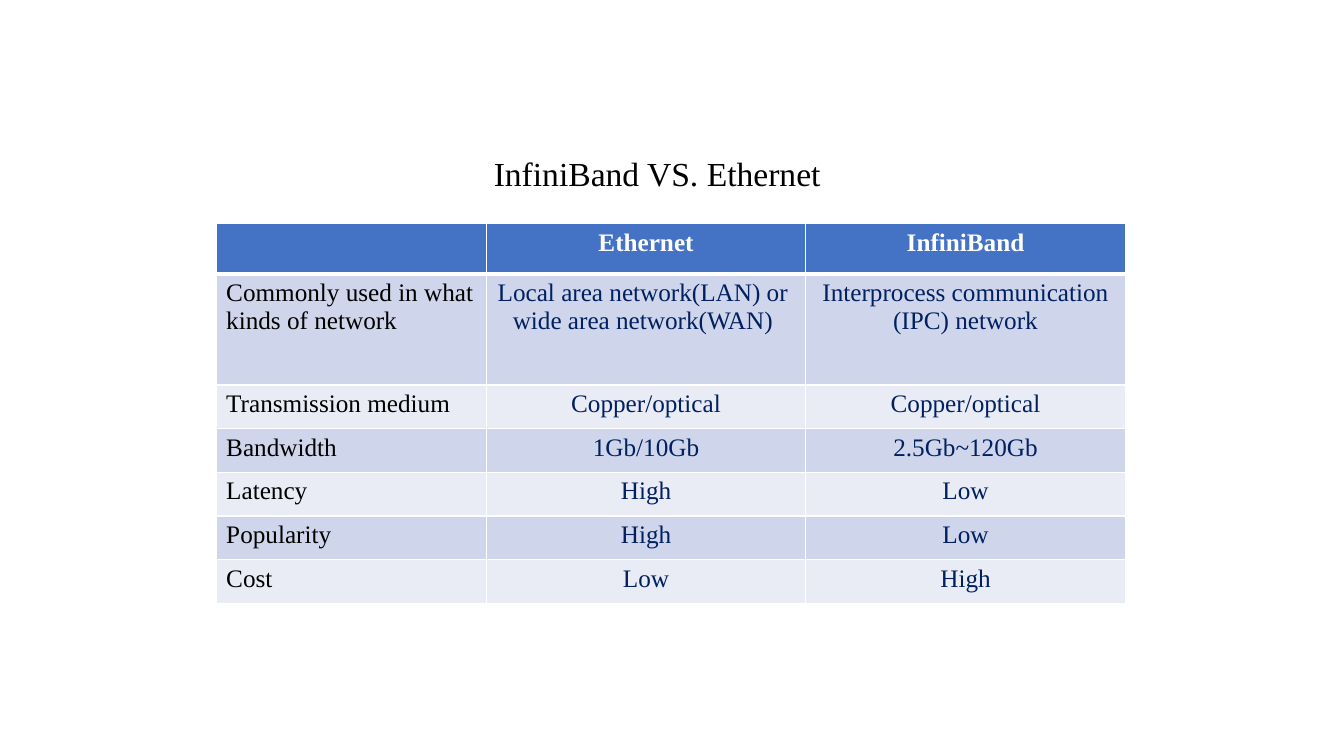
from dataclasses import dataclass

from lxml import etree
from pptx import Presentation
from pptx.dml.color import RGBColor
from pptx.enum.text import MSO_ANCHOR, PP_ALIGN
from pptx.oxml.ns import qn
from pptx.util import Pt

LEFT, CENTER, JUSTIFY = PP_ALIGN.LEFT, PP_ALIGN.CENTER, PP_ALIGN.JUSTIFY
MIDDLE = MSO_ANCHOR.MIDDLE

WHITE = RGBColor(0xFF, 0xFF, 0xFF)
BLACK = RGBColor(0, 0, 0)
NAVY = RGBColor(0x00, 0x20, 0x60)
HEADER_BLUE = RGBColor(0x44, 0x72, 0xC4)
BANDS = (RGBColor(0xCF, 0xD5, 0xEA), RGBColor(0xE9, 0xEB, 0xF5))

FONT = "Times New Roman"
COLUMN_WIDTHS = (192.96, 228.24, 228.24)
HEADER_HEIGHT = 36
THIN, THICK = Pt(1), Pt(3)


@dataclass(frozen=True)
class Criterion:
    label: str
    ethernet: str
    infiniband: str
    height: float = 31.2
    label_align: PP_ALIGN = JUSTIFY


HEADINGS = ("", "Ethernet", "InfiniBand")
CRITERIA = (
    Criterion("Commonly used in what kinds of network",
              "Local area network(LAN) or \nwide area network(WAN) ",
              "Interprocess communication (IPC) network", 79.2, LEFT),
    Criterion("Transmission medium", "Copper/optical", "Copper/optical"),
    Criterion("Bandwidth", "1Gb/10Gb", "2.5Gb~120Gb"),
    Criterion("Latency", "High", "Low"),
    Criterion("Popularity", "High", "Low"),
    Criterion("Cost", "Low", "High"),
)


def write(frame, text: str, align: PP_ALIGN, color: RGBColor,
          size: float = 18, bold: bool = False) -> None:
    """Fill a text frame, one paragraph per line of text."""
    frame.text = text
    font_format = {"name": FONT, "size": Pt(size), "bold": bold}
    for paragraph in frame.paragraphs:
        paragraph.alignment = align
        # An empty cell keeps its size through the paragraph font
        for font in [run.font for run in paragraph.runs] or [paragraph.font]:
            for attribute, value in font_format.items():
                setattr(font, attribute, value)
            font.color.rgb = color


def add_borders(cell, top: int, bottom: int) -> None:
    """Draw white cell borders; they must come before the cell's fill."""
    properties = cell._tc.get_or_add_tcPr()
    edges = {"a:lnL": THIN, "a:lnR": THIN, "a:lnT": top, "a:lnB": bottom}
    for tag, width in edges.items():
        edge = etree.SubElement(properties, qn(tag), w=str(int(width)))
        fill = etree.SubElement(edge, qn("a:solidFill"))
        etree.SubElement(fill, qn("a:srgbClr"), val=str(WHITE))


def style_cell(cell, row: int) -> None:
    """Give a cell its borders and its header or band fill."""
    add_borders(cell, THICK if row == 1 else THIN, THICK if row == 0 else THIN)
    cell.fill.solid()
    cell.fill.fore_color.rgb = BANDS[(row - 1) % 2] if row else HEADER_BLUE


def add_title(slide) -> None:
    title = slide.shapes.add_textbox(Pt(345.6), Pt(109.44), Pt(267.84), Pt(32.4))
    frame = title.text_frame
    frame.word_wrap = True
    frame.vertical_anchor = MIDDLE
    write(frame, "InfiniBand VS. Ethernet", LEFT, BLACK, size=24)
    frame.paragraphs[0].line_spacing = 0.9


def add_comparison(slide) -> None:
    heights = [HEADER_HEIGHT] + [criterion.height for criterion in CRITERIA]
    comparison = slide.shapes.add_table(
        len(heights), len(COLUMN_WIDTHS), Pt(154.4), Pt(159.84),
        Pt(sum(COLUMN_WIDTHS)), Pt(sum(heights))).table
    for column, width in zip(comparison.columns, COLUMN_WIDTHS):
        column.width = Pt(width)
    for row, height in zip(comparison.rows, heights):
        row.height = Pt(height)

    # Header row
    for column, heading in enumerate(HEADINGS):
        cell = comparison.cell(0, column)
        write(cell.text_frame, heading, CENTER, WHITE, bold=True)
        style_cell(cell, 0)

    # One row per criterion
    for row, criterion in enumerate(CRITERIA, start=1):
        entries = (
            (criterion.label, criterion.label_align, BLACK),
            (criterion.ethernet, CENTER, NAVY),
            (criterion.infiniband, CENTER, NAVY),
        )
        for column, (text, align, color) in enumerate(entries):
            cell = comparison.cell(row, column)
            write(cell.text_frame, text, align, color)
            style_cell(cell, row)


def main() -> None:
    deck = Presentation()
    deck.slide_width, deck.slide_height = Pt(960), Pt(540)
    slide = deck.slides.add_slide(deck.slide_layouts[6])
    add_comparison(slide)
    add_title(slide)
    deck.save("out.pptx")


if __name__ == "__main__":
    main()
